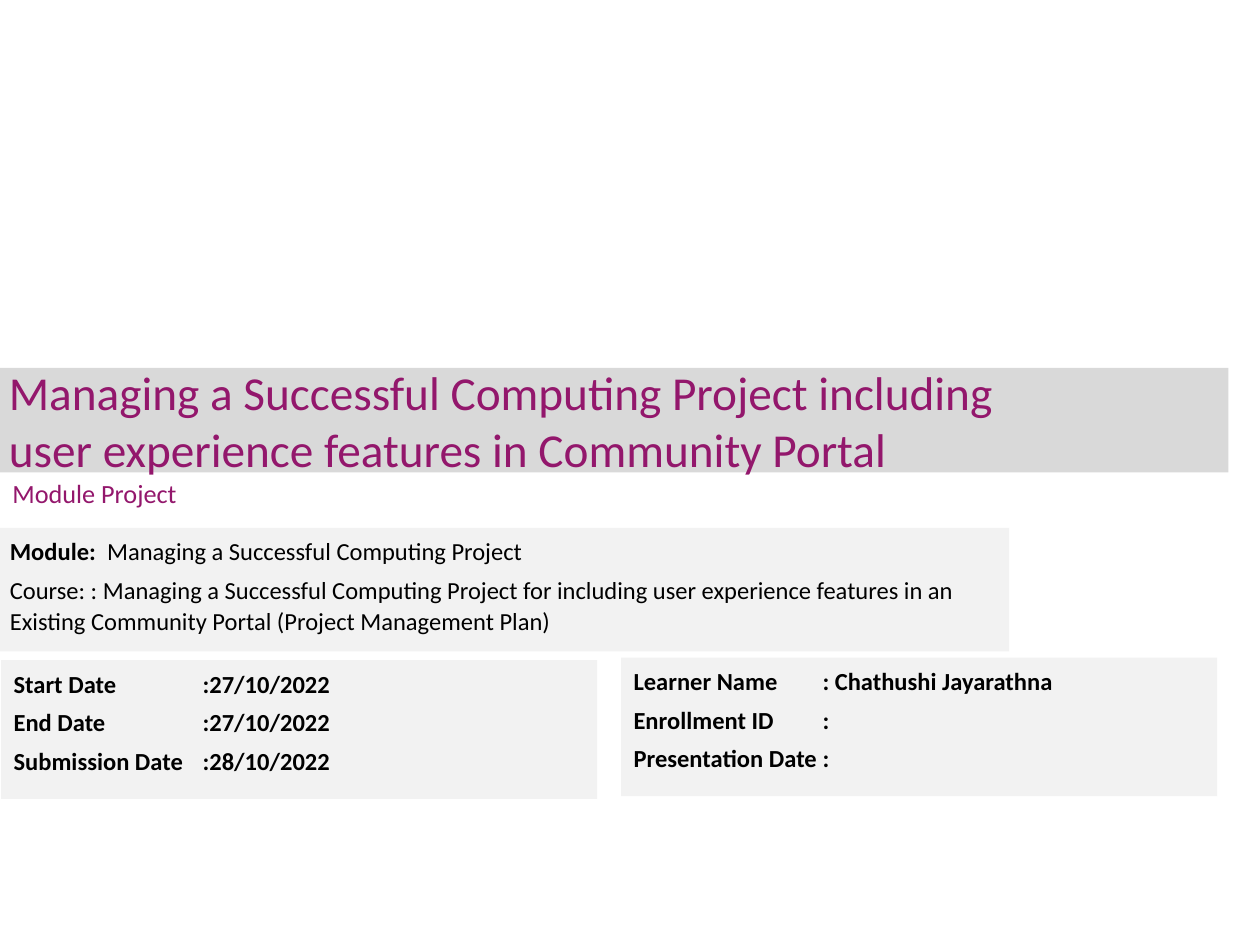
from dataclasses import dataclass

from lxml.etree import SubElement
from pptx import Presentation
from pptx.dml.color import RGBColor
from pptx.enum.shapes import MSO_SHAPE
from pptx.enum.text import MSO_ANCHOR, MSO_AUTO_SIZE, PP_ALIGN
from pptx.oxml.ns import qn
from pptx.util import Inches, Pt


@dataclass(frozen=True)
class Theme:
    font: str = "Calibri"
    accent: str = "93176C"
    ink: str = "000000"
    band: str = "D9D9D9"
    panel: str = "F2F2F2"
    title_size: int = 27
    subtitle_size: int = 15
    body_size: int = 14
    line_pitch: int = 18
    para_gap: int = 2


def add_text(para, text, *, font, size, color, bold=False):
    """Add one formatted span to a paragraph."""
    span = para.add_run()
    span.text = text
    span.font.name = font
    span.font.size = Pt(size)
    span.font.bold = bold
    span.font.color.rgb = RGBColor.from_string(color)


class CoverPage:
    """Places elements on a grid of 100 columns by 75 rows."""

    COLUMNS, ROWS = 100, 75

    def __init__(self, deck, theme):
        self.theme = theme
        self.cell_width = deck.slide_width / self.COLUMNS
        self.cell_height = deck.slide_height / self.ROWS
        self.page = deck.slides.add_slide(deck.slide_layouts[5])

    def area(self, column, row, columns, rows):
        return (int(column * self.cell_width), int(row * self.cell_height),
                int(columns * self.cell_width), int(rows * self.cell_height))

    def fill(self, box, color):
        box.fill.solid()
        box.fill.fore_color.rgb = RGBColor.from_string(color)

    def title(self, lines, *area):
        box = self.page.shapes.title
        box.left, box.top, box.width, box.height = self.area(*area)
        self.fill(box, self.theme.band)
        frame = box.text_frame
        frame.word_wrap = True
        frame.auto_size = MSO_AUTO_SIZE.NONE
        frame.vertical_anchor = MSO_ANCHOR.MIDDLE
        frame.margin_left = frame.margin_right = Inches(0.07)
        frame.margin_top = frame.margin_bottom = Inches(0.04)
        para = frame.paragraphs[0]
        para.alignment = PP_ALIGN.LEFT
        para.line_spacing = 1.0
        for index, line in enumerate(lines):
            if index:
                para.add_line_break()
            add_text(para, line, font=self.theme.font,
                     size=self.theme.title_size, color=self.theme.accent)

    def subtitle(self, text, *area):
        frame = self.page.shapes.add_textbox(*self.area(*area)).text_frame
        frame.word_wrap = True
        frame.vertical_anchor = MSO_ANCHOR.MIDDLE
        add_text(frame.paragraphs[0], text, font=self.theme.font,
                 size=self.theme.subtitle_size, color=self.theme.accent)

    def panel(self, rows, *area, tab=None):
        """Draw a filled panel; each row is a list of (text, bold) spans."""
        box = self.page.shapes.add_shape(MSO_SHAPE.RECTANGLE, *self.area(*area))
        box.shadow.inherit = False
        box.line.fill.background()
        self.fill(box, self.theme.panel)
        frame = box.text_frame
        frame.word_wrap = True
        frame.vertical_anchor = MSO_ANCHOR.TOP
        for index, spans in enumerate(rows):
            para = frame.add_paragraph() if index else frame.paragraphs[0]
            para.alignment = PP_ALIGN.LEFT
            para.line_spacing = Pt(self.theme.line_pitch)
            para.space_before = para.space_after = Pt(self.theme.para_gap)
            if tab:
                stops = SubElement(para._p.get_or_add_pPr(), qn("a:tabLst"))
                SubElement(stops, qn("a:tab"), pos=str(Inches(tab)), algn="l")
            for text, bold in spans:
                add_text(para, text, font=self.theme.font, bold=bold,
                         size=self.theme.body_size, color=self.theme.ink)

    def field_panel(self, fields, *area):
        """Draw a panel of bold labels with values aligned at a tab stop."""
        rows = [[(f"{label}\t:{value}", True)] for label, value in fields]
        self.panel(rows, *area, tab=1.5)


def main():
    deck = Presentation()
    deck.slide_width, deck.slide_height = Inches(10), Inches(7.5)
    cover = CoverPage(deck, Theme())

    # Heading
    cover.title(["Managing a Successful Computing Project including",
                 "user experience features in Community Portal"],
                0, 29.2, 97.5, 8.3)
    cover.subtitle("Module Project", 0, 36, 64.2, 6.2)

    # Dates
    cover.field_panel([("Start Date", "27/10/2022"),
                       ("End Date", "27/10/2022"),
                       ("Submission Date", "28/10/2022")],
                      0.1, 52.4, 47.3, 11)

    # Module and course
    cover.panel([
        [("Module: ", True), (" Managing a Successful Computing Project", False)],
        [("Course: : Managing a Successful Computing Project for including "
          "user experience features in an Existing Community Portal "
          "(Project Management Plan)", False)],
    ], -0.2, 41.9, 80.3, 9.8)

    # Learner
    cover.field_panel([("Learner Name", " Chathushi Jayarathna"),
                       ("Enrollment ID", ""),
                       ("Presentation Date", "")],
                      49.3, 52.2, 47.3, 11)

    deck.save("out.pptx")


if __name__ == "__main__":
    main()
